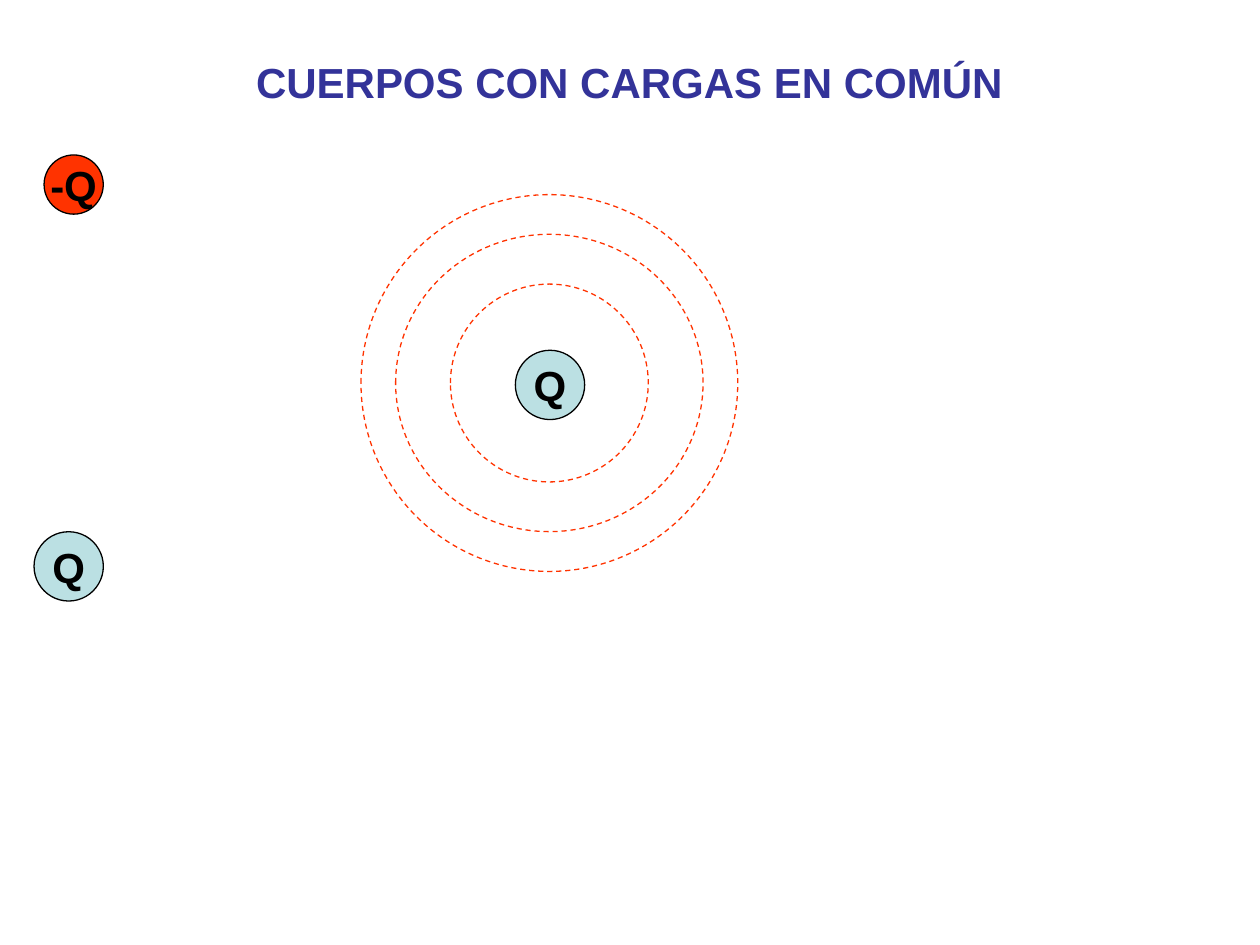
from pptx import Presentation
from pptx.dml.color import RGBColor
from pptx.enum.dml import MSO_LINE
from pptx.enum.shapes import MSO_SHAPE
from pptx.enum.text import MSO_ANCHOR, MSO_AUTO_SIZE, PP_ALIGN
from pptx.util import Inches, Pt

ELLIPSE = MSO_SHAPE.OVAL
DASH = MSO_LINE.DASH
CENTER = PP_ALIGN.CENTER
TOP, MIDDLE = MSO_ANCHOR.TOP, MSO_ANCHOR.MIDDLE
NO_AUTOFIT = MSO_AUTO_SIZE.NONE
TITLE_ONLY = 5

THEME = {
    "font": "Arial",
    "size": Pt(24),
    "line": Pt(0.75),
    "title": RGBColor(0x33, 0x33, 0x99),
    "ink": RGBColor(0, 0, 0),
    "positive": RGBColor(0xBB, 0xE0, 0xE3),
    "negative": RGBColor(0xFF, 0x33, 0x00),
}

TITLE = "CUERPOS CON CARGAS EN COMÚN"
TITLE_BOX = (0.27, 0.36, 9.45, 0.5)

# label, fill, left, top, diameter
CENTRAL_CHARGE = ("Q", "positive", 4.09, 2.78, 0.55)
SIDE_CHARGES = [
    ("-Q", "negative", 0.35, 1.23, 0.47),
    ("Q", "positive", 0.27, 4.22, 0.55),
]

# width, height of the equipotential rings, from the inside out
RING_CENTER = (4.36, 3.04)
RINGS = [(1.57, 1.57), (2.44, 2.36), (2.99, 2.99)]


def write(tf, text, color):
    """Put one bold, centred line of text in the frame."""
    p = tf.paragraphs[0]
    p.alignment = CENTER
    r = p.add_run()
    r.text = text
    r.font.name = THEME["font"]
    r.font.size = THEME["size"]
    r.font.bold = True
    r.font.color.rgb = THEME[color]


def add_ellipse(s, left, top, width, height, line):
    sp = s.shapes.add_shape(ELLIPSE, *map(Inches, (left, top, width, height)))
    sp.shadow.inherit = False
    sp.line.color.rgb = THEME[line]
    sp.line.width = THEME["line"]
    return sp


def add_charge(s, label, fill, left, top, diameter):
    sp = add_ellipse(s, left, top, diameter, diameter, "ink")
    sp.fill.solid()
    sp.fill.fore_color.rgb = THEME[fill]
    tf = sp.text_frame
    tf.word_wrap = False
    tf.vertical_anchor = MIDDLE
    write(tf, label, "ink")


def add_ring(s, width, height):
    cx, cy = RING_CENTER
    sp = add_ellipse(s, cx - width / 2, cy - height / 2, width, height, "negative")
    sp.fill.background()
    sp.line.dash_style = DASH


def add_title(s):
    sp = s.shapes.title
    sp.left, sp.top, sp.width, sp.height = map(Inches, TITLE_BOX)
    tf = sp.text_frame
    tf.word_wrap = True
    tf.auto_size = NO_AUTOFIT
    tf.vertical_anchor = TOP
    tf.margin_top = Inches(0.09)
    write(tf, TITLE, "title")


def main():
    prs = Presentation()
    prs.slide_width, prs.slide_height = Inches(10), Inches(7.5)
    s = prs.slides.add_slide(prs.slide_layouts[TITLE_ONLY])
    add_title(s)
    add_charge(s, *CENTRAL_CHARGE)
    for size in RINGS:
        add_ring(s, *size)
    for charge in SIDE_CHARGES:
        add_charge(s, *charge)
    prs.save("out.pptx")


if __name__ == "__main__":
    main()
